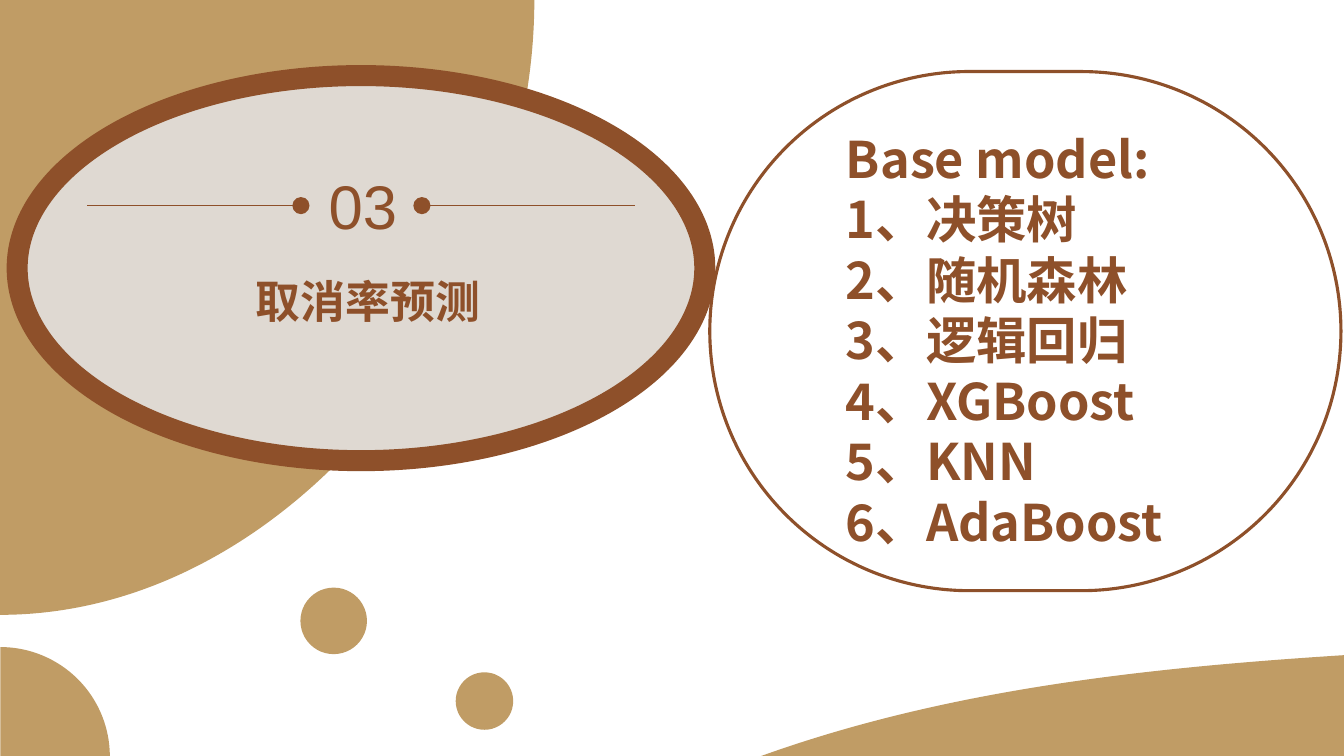
"""Build the section slide on cancellation-rate prediction with its list of base models."""
from dataclasses import dataclass

from lxml.etree import SubElement
from pptx import Presentation
from pptx.dml.color import RGBColor
from pptx.enum.shapes import MSO_CONNECTOR, MSO_SHAPE
from pptx.enum.text import MSO_ANCHOR, MSO_AUTO_SIZE, PP_ALIGN
from pptx.oxml.ns import qn
from pptx.util import Inches, Pt

Point = tuple[float, float]
Box = tuple[float, float, float, float]


@dataclass(frozen=True)
class Theme:
    gold: str = "C09C65"
    brown: str = "8E502A"
    cream: str = "DFD9D2"
    latin: str = "Arial"
    cjk: str = "Noto Sans CJK SC"
    number_size: float = 44
    title_size: float = 32
    list_size: float = 36
    list_spacing: float = 43.2


@dataclass(frozen=True)
class Blob:
    start: Point
    curve: tuple[Point, Point, Point]
    corner: Point


@dataclass(frozen=True)
class Preset:
    kind: MSO_SHAPE
    box: Box
    fill: str | None = None
    line: str | None = None
    weight: float = 0
    adj: tuple[float, ...] = ()
    flip: bool = False


THEME = Theme()
RULE_Y = 2.04
DOT = 0.17
CORNER_BLOB = Blob((5.3, 0), ((5.3, 2.93), (2.93, 6.1), (0, 6.1)), (0, 0))
WAVE = Blob((13.33, 6.5), ((11.29, 6.63), (9.36, 6.85), (7.55, 7.5)), (13.33, 7.5))
FRAMES = [
    Preset(MSO_SHAPE.OVAL, (0.17, 0.75, 6.82, 3.82), THEME.cream, THEME.brown, 15),
    Preset(MSO_SHAPE.ROUNDED_RECTANGLE, (7.04, 0.71, 6.26, 5.15), None, THEME.brown, 2.25, (0.5,)),
]
SPOTS = [
    Preset(MSO_SHAPE.PIE, (-1.08, 6.42, 2.17, 2.17), THEME.gold, adj=(107.032, 162), flip=True),
    Preset(MSO_SHAPE.OVAL, (2.98, 5.83, 0.66, 0.66), THEME.gold),
    Preset(MSO_SHAPE.OVAL, (4.52, 6.67, 0.57, 0.57), THEME.gold),
]
DOTTED_RULES = [(4.1, 4.24, 6.3), (2.9, 2.93, 0.86)]
MODELS = ["决策树", "随机森林", "逻辑回归", "XGBoost", "KNN", "AdaBoost"]


def paint(sp, fill: str | None, line: str | None = None, weight: float = 0) -> None:
    sp.shadow.inherit = False
    if fill:
        sp.fill.solid()
        sp.fill.fore_color.rgb = RGBColor.from_string(fill)
    else:
        sp.fill.background()
    if line:
        sp.line.color.rgb = RGBColor.from_string(line)
        sp.line.width = Pt(weight)
    else:
        sp.line.fill.background()


def draw_blob(shapes, blob: Blob) -> None:
    points = [tuple(map(Inches, point)) for point in (blob.start, *blob.curve, blob.corner)]
    fb = shapes.build_freeform(*points[0])
    fb.add_line_segments(points[1:])
    sp = fb.convert_to_shape()
    segments = list(sp._element.iter(qn("a:lnTo")))[:3]
    bezier = segments[0].makeelement(qn("a:cubicBezTo"))
    segments[0].addprevious(bezier)
    for segment in segments:
        bezier.append(segment[0])
        segment.getparent().remove(segment)
    paint(sp, THEME.gold)


def draw_preset(shapes, preset: Preset) -> None:
    sp = shapes.add_shape(preset.kind, *map(Inches, preset.box))
    for i, value in enumerate(preset.adj):
        sp.adjustments[i] = value
    if preset.flip:
        sp._element.spPr.find(qn("a:xfrm")).set("flipH", "1")
    paint(sp, preset.fill, preset.line, preset.weight)


def draw_dotted_rule(shapes, dot: float, start: float, end: float) -> None:
    draw_preset(shapes, Preset(MSO_SHAPE.OVAL, (dot, RULE_Y - DOT / 2, DOT, DOT), THEME.brown))
    cxn = shapes.add_connector(
        MSO_CONNECTOR.STRAIGHT, Inches(start), Inches(RULE_Y), Inches(end), Inches(RULE_Y)
    )
    cxn.line.color.rgb = RGBColor.from_string(THEME.brown)
    cxn.line.width = Pt(0.5)
    SubElement(cxn._element.spPr, qn("a:effectLst"))


def write(sp, lines: list[str], *, box: Box, size: float, font: str, bold: bool = False,
          align: PP_ALIGN = PP_ALIGN.LEFT, anchor: MSO_ANCHOR = MSO_ANCHOR.TOP,
          spacing: float | None = None) -> None:
    sp.left, sp.top, sp.width, sp.height = map(Inches, box)
    tf = sp.text_frame
    tf.word_wrap = True
    tf.auto_size = MSO_AUTO_SIZE.NONE
    tf.vertical_anchor = anchor
    for i, text in enumerate(lines):
        p = tf.paragraphs[0] if i == 0 else tf.add_paragraph()
        p.alignment = align
        p.space_before = Pt(0)
        if spacing:
            p.line_spacing = Pt(spacing)
        pPr = p._p.get_or_add_pPr()
        pPr.set("marL", "0")
        pPr.set("indent", "0")
        SubElement(pPr, qn("a:buNone"))
        r = p.add_run()
        r.text = text
        r.font.size = Pt(size)
        r.font.bold = bold
        r.font.color.rgb = RGBColor.from_string(THEME.brown)
        r.font.name = font
        SubElement(r._r.get_or_add_rPr(), qn("a:ea"), typeface=THEME.cjk)


def main() -> None:
    prs = Presentation()
    prs.slide_width, prs.slide_height = Inches(13.33), Inches(7.5)
    slide = prs.slides.add_slide(prs.slide_layouts[1])
    shapes = slide.shapes
    title, body = shapes.title, slide.placeholders[1]

    draw_blob(shapes, CORNER_BLOB)
    for frame in FRAMES:
        draw_preset(shapes, frame)

    models = [f"{i}、{name}" for i, name in enumerate(MODELS, 1)]
    write(body, ["Base model:", *models], box=(8.29, 1.22, 4.38, 5.55), size=THEME.list_size,
          font=THEME.cjk, bold=True, spacing=THEME.list_spacing)
    shapes._spTree.append(body._element)

    draw_blob(shapes, WAVE)
    for spot in SPOTS:
        draw_preset(shapes, spot)
    for dot, start, end in DOTTED_RULES:
        draw_dotted_rule(shapes, dot, start, end)

    number = shapes.add_textbox(0, 0, 0, 0)
    write(number, ["03"], box=(3.16, 1.62, 0.98, 0.84), size=THEME.number_size, font=THEME.latin)
    write(title, ["取消率预测"], box=(1.22, 2.66, 4.86, 0.64), size=THEME.title_size,
          font=THEME.latin, bold=True, align=PP_ALIGN.CENTER, anchor=MSO_ANCHOR.MIDDLE)
    shapes._spTree.append(title._element)

    prs.save("out.pptx")


if __name__ == "__main__":
    main()
